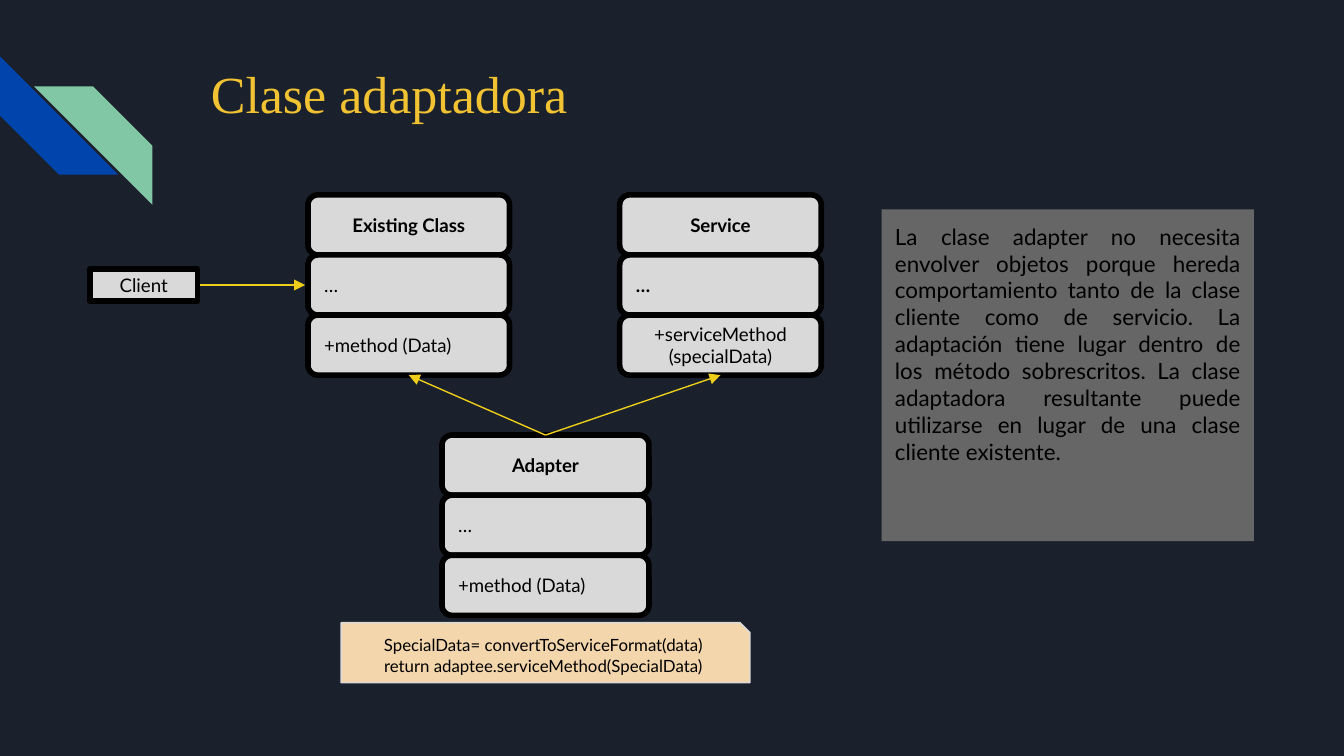
from dataclasses import dataclass

from lxml.etree import SubElement
from pptx import Presentation
from pptx.dml.color import RGBColor
from pptx.enum.shapes import MSO_CONNECTOR, MSO_SHAPE as Shape
from pptx.enum.text import MSO_ANCHOR as Anchor, PP_ALIGN as Align
from pptx.oxml.ns import qn
from pptx.util import Pt


@dataclass(frozen=True)
class Theme:
    background: str = "1B212C"
    blue: str = "0145AC"
    green: str = "82C7A5"
    title: str = "F1C232"
    box: str = "D9D9D9"
    ink: str = "000000"
    note: str = "F4D6AD"
    arrow: str = "EECE1A"
    panel: str = "666666"
    title_font: str = "Times New Roman"
    font: str = "Lato"
    title_size: float = 27.9
    body_size: float = 12
    box_size: float = 10
    code_size: float = 9
    border: float = 3
    thin: float = 0.75
    inset: float = 7.2


THEME = Theme()


def rgb(color):
    return RGBColor.from_string(color)


def write(shape, text, size=THEME.box_size, font=THEME.font, color=THEME.ink,
          bold=False, align=Align.CENTER, anchor=Anchor.MIDDLE):
    tf = shape.text_frame
    tf.word_wrap = True
    tf.vertical_anchor = anchor
    tf.margin_left = tf.margin_right = Pt(THEME.inset)
    tf.margin_top = tf.margin_bottom = Pt(THEME.inset)
    tf.text = text
    for p in tf.paragraphs:
        p.alignment = align
        for r in p.runs:
            r.font.name, r.font.size = font, Pt(size)
            r.font.bold, r.font.color.rgb = bold, rgb(color)


def add_box(s, kind, box, fill, line=None, width=THEME.border):
    sp = s.shapes.add_shape(kind, *map(Pt, box))
    sp.shadow.inherit = False
    sp.fill.solid()
    sp.fill.fore_color.rgb = rgb(fill)
    if line:
        sp.line.color.rgb = rgb(line)
        sp.line.width = Pt(width)
    else:
        sp.line.fill.background()
    return sp


def add_arrow(s, start, end):
    cx = s.shapes.add_connector(MSO_CONNECTOR.STRAIGHT, *map(Pt, start + end))
    cx.line.color.rgb = rgb(THEME.arrow)
    cx.line.width = Pt(THEME.thin)
    SubElement(cx.line._get_or_add_ln(), qn("a:tailEnd"), type="triangle")
    SubElement(cx._element.spPr, qn("a:effectLst"))


def add_stripes(s, box):
    left, top, width, height = box
    side = 63.4
    blue = add_box(s, Shape.DIAGONAL_STRIPE, (left, top, side, side), THEME.blue)
    blue.rotation = 270
    green = add_box(s, Shape.DIAGONAL_STRIPE,
                    (left + width - side, top + height - side, side, side), THEME.green)
    green._element.spPr.xfrm.set("flipH", "1")


def add_title(s, box, text):
    title = s.shapes.title
    title.left, title.top, title.width, title.height = map(Pt, box)
    write(title, text, size=THEME.title_size, font=THEME.title_font,
          color=THEME.title, align=Align.LEFT)


def add_class(s, box, name, fields, method, bold_fields=False, method_align=Align.LEFT):
    left, top, width, height = box
    row = height / 3
    formats = [
        (name, dict(bold=True)),
        (fields, dict(bold=bold_fields, align=Align.LEFT)),
        (method, dict(align=method_align)),
    ]
    for i, (text, style) in enumerate(formats):
        sp = add_box(s, Shape.ROUNDED_RECTANGLE, (left, top + i * row, width, row),
                     THEME.box, THEME.ink)
        write(sp, text, **style)


def add_diagram(s, box):
    left, top, width, height = box
    class_h = 96.6
    existing = (left + 116.8, top, 108, class_h)
    service = (left + width - 108, top, 108, class_h)
    adapter = (left + 188.6, top + 128.7, 110.9, class_h)
    client = (left, top + 39.6, 57.6, 17.3)
    note = (left + 134.6, top + height - 32.2, 219, 32.2)

    add_class(s, adapter, "Adapter", "…", "+method (Data)")
    sp = add_box(s, Shape.SNIP_1_RECTANGLE, note, THEME.note, THEME.box, THEME.thin)
    write(sp, "SpecialData= convertToServiceFormat(data)\n"
              "return adaptee.serviceMethod(SpecialData)", size=THEME.code_size)
    add_class(s, service, "Service", "…", "+serviceMethod\n(specialData)",
              bold_fields=True, method_align=Align.CENTER)
    write(add_box(s, Shape.RECTANGLE, client, THEME.box, THEME.ink), "Client")
    add_class(s, existing, "Existing Class", "…", "+method (Data)")

    gap = THEME.border / 2
    middle = top + class_h / 2
    add_arrow(s, (client[0] + client[2] + gap, middle), (existing[0] - gap, middle))
    for parent in (existing, service):
        add_arrow(s, (adapter[0] + adapter[2] / 2, adapter[1]),
                  (parent[0] + parent[2] / 2, top + class_h))


def add_panel(s, box, text):
    sp = add_box(s, Shape.RECTANGLE, box, THEME.panel)
    write(sp, text, size=THEME.body_size, align=Align.JUSTIFY, anchor=Anchor.TOP)


def main():
    prs = Presentation()
    prs.slide_width, prs.slide_height = Pt(720), Pt(405)
    s = prs.slides.add_slide(prs.slide_layouts[5])
    s.background.fill.solid()
    s.background.fill.fore_color.rgb = rgb(THEME.background)

    add_stripes(s, (0, 30.2, 81.6, 79.5))
    add_title(s, (105.8, 21.6, 226, 56.2), "Clase adaptadora")
    add_diagram(s, (48.2, 104.4, 391.8, 261.4))
    add_panel(s, (472.4, 112.2, 199.4, 177.8),
              "La clase adapter no necesita envolver objetos porque hereda "
              "comportamiento tanto de la clase cliente como de servicio. "
              "La adaptación tiene lugar dentro de los método sobrescritos. "
              "La clase adaptadora resultante puede utilizarse en lugar de "
              "una clase cliente existente.")
    prs.save("out.pptx")


if __name__ == "__main__":
    main()
